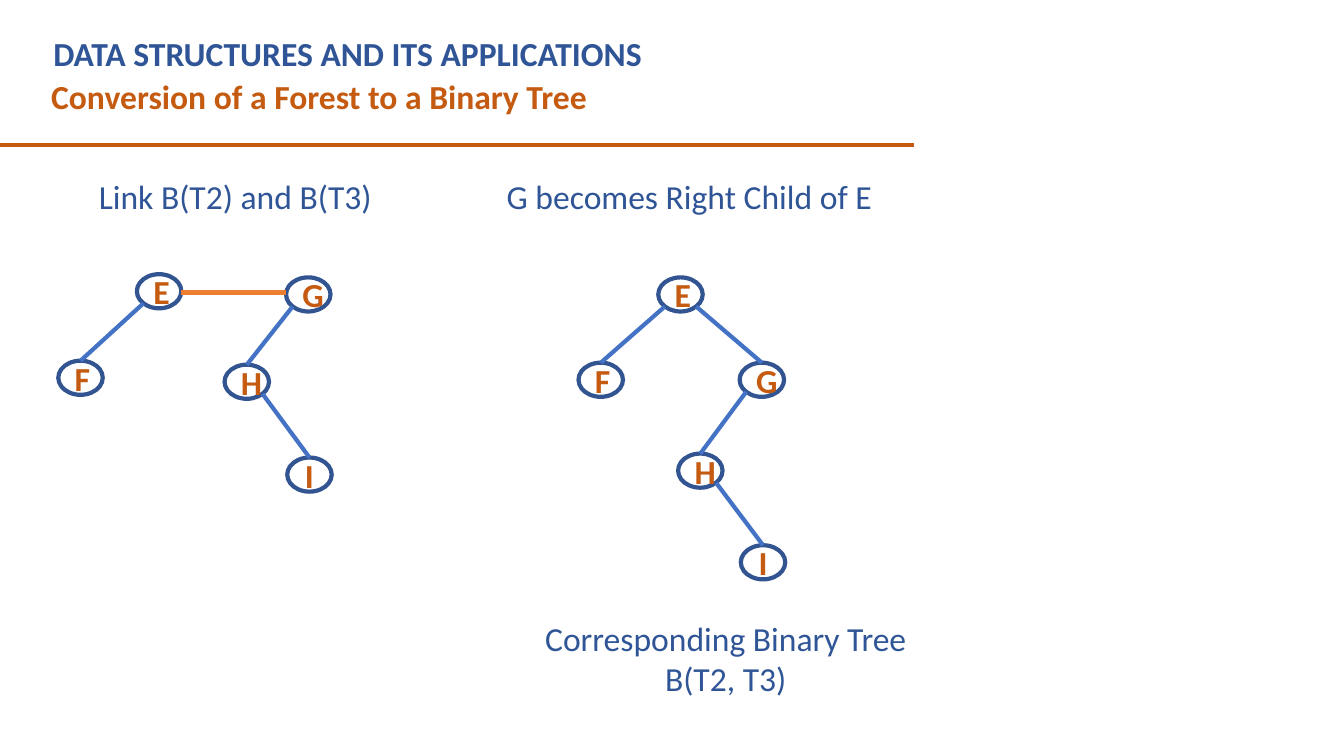
from math import sqrt

from lxml.etree import SubElement
from pptx import Presentation
from pptx.dml.color import RGBColor
from pptx.enum.shapes import MSO_CONNECTOR, MSO_SHAPE
from pptx.enum.text import MSO_ANCHOR, MSO_AUTO_SIZE, PP_ALIGN
from pptx.oxml.ns import qn
from pptx.util import Cm, Pt

HUES = {
    "navy": "2F5597",
    "rust": "C55A11",
    "ring": "325491",
    "edge": "4472C4",
    "link": "ED7D31",
    "white": "FFFFFF",
}
WIDE, HIGH = 1.12, 0.86

LEFT = {
    "E": (3.45, 6.91), "F": (1.47, 9.09),
    "G": (7.21, 6.99), "H": (5.66, 9.19), "I": (7.24, 11.53),
}
RIGHT = {
    "E": (16.59, 6.99), "F": (14.58, 9.14),
    "G": (18.64, 9.14), "H": (17.09, 11.43), "I": (18.67, 13.74),
}
EDGES = ["EF", "GH", "HI"]


def tint(name):
    return RGBColor.from_string(HUES[name])


def style(frame, text, hue, bold, align):
    frame.text = text
    line = frame.paragraphs[0]
    line.alignment = align
    font = line.runs[0].font
    font.name = "Calibri"
    font.size = Pt(24)
    font.bold = bold
    font.color.rgb = tint(hue)


def place(shape, box):
    shape.left, shape.top, shape.width, shape.height = map(Cm, box)


def add_title(slide, text, box):
    title = slide.shapes.title
    place(title, box)
    frame = title.text_frame
    style(frame, text, "navy", True, PP_ALIGN.LEFT)
    frame.paragraphs[0].line_spacing = 1.0
    frame.vertical_anchor = MSO_ANCHOR.TOP
    frame.auto_size = MSO_AUTO_SIZE.NONE


def add_label(slide, text, box, hue="navy", bold=False, align=PP_ALIGN.JUSTIFY):
    frame = slide.shapes.add_textbox(*map(Cm, box)).text_frame
    frame.word_wrap = True
    style(frame, text, hue, bold, align)


def add_line(slide, start, end, hue):
    ends = [Cm(n) for n in (*start, *end)]
    line = slide.shapes.add_connector(MSO_CONNECTOR.STRAIGHT, *ends)
    line.line.color.rgb = tint(hue)
    line.line.width = Pt(3)
    SubElement(line._element.spPr, qn("a:effectLst"))


def add_node(slide, name, spot):
    node = slide.shapes.add_shape(
        MSO_SHAPE.OVAL, *map(Cm, (*spot, WIDE, HIGH)))
    node.shadow.inherit = False
    node.fill.solid()
    node.fill.fore_color.rgb = tint("white")
    node.line.color.rgb = tint("ring")
    node.line.width = Pt(3)
    node.text_frame.vertical_anchor = MSO_ANCHOR.MIDDLE
    style(node.text_frame, name, "rust", True, PP_ALIGN.CENTER)


def add_edge(slide, top, low):
    side = 1 if low[0] > top[0] else -1
    start = (top[0] + WIDE / 2 * (1 + side / sqrt(2)),
             top[1] + HIGH / 2 * (1 + 1 / sqrt(2)))
    add_line(slide, start, (low[0] + WIDE / 2, low[1]), "edge")


def add_tree(slide, nodes, edges):
    for name, spot in nodes.items():
        add_node(slide, name, spot)
    for top, low in edges:
        add_edge(slide, nodes[top], nodes[low])


def main():
    deck = Presentation()
    deck.slide_width, deck.slide_height = Cm(33.87), Cm(19.05)
    slide = deck.slides.add_slide(deck.slide_layouts[5])

    add_title(slide, "DATA STRUCTURES AND ITS APPLICATIONS",
              (1.09, 0.71, 20.83, 1.27))
    add_label(slide, "Conversion of a Forest to a Binary Tree",
              (1.04, 1.8, 22.23, 1.27), "rust", True, PP_ALIGN.LEFT)
    add_line(slide, (0, 3.66), (23.04, 3.66), "rust")

    add_label(slide, "Link B(T2) and B(T3)", (2.24, 4.32, 7.52, 1.27))
    add_tree(slide, LEFT, EDGES)
    add_line(slide, (LEFT["E"][0] + WIDE, 7.37), (LEFT["G"][0], 7.37), "link")

    add_label(slide, "G becomes Right Child of E", (12.52, 4.32, 10.24, 1.27))
    add_tree(slide, RIGHT, EDGES + ["EG"])
    add_label(slide, "Corresponding Binary Tree B(T2, T3)",
              (13.36, 15.44, 9.86, 2.31), align=PP_ALIGN.CENTER)

    deck.save("out.pptx")


if __name__ == "__main__":
    main()
